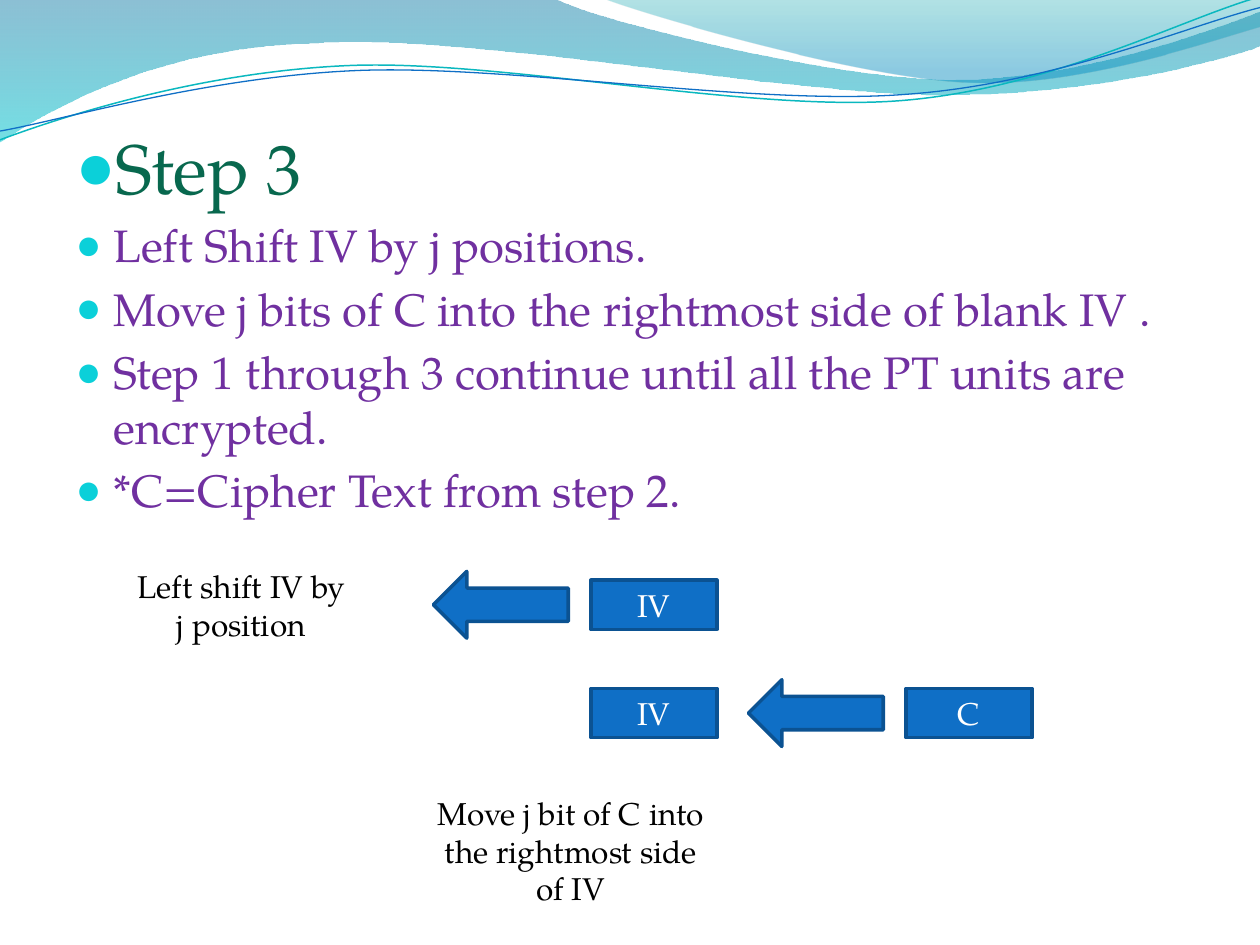
from math import cos, radians, sin

from lxml.etree import SubElement
from pptx import Presentation
from pptx.dml.color import RGBColor
from pptx.enum.shapes import MSO_SHAPE as Shape
from pptx.enum.text import MSO_ANCHOR as Anchor, MSO_AUTO_SIZE as AutoSize, PP_ALIGN as Align
from pptx.oxml.ns import qn
from pptx.util import Inches, Pt

FONT = "TeX Gyre Pagella"
BLUE, BLUE_EDGE, WHITE, BLACK = "0F6FC6", "0B5292", "FFFFFF", "000000"
GREEN, PURPLE, CYAN = "08684E", "7030A0", "0BD0D9"

BULLETS = [
    ("Step 3", 40, GREEN),
    ("Left Shift IV by j positions.", 26, PURPLE),
    ("Move j bits of C into the rightmost side of blank IV .", 26, PURPLE),
    ("Step 1 through 3 continue until all the PT units are encrypted.", 26, PURPLE),
    ("*C=Cipher Text from step 2.", 26, PURPLE),
]

# Diagram grid: lefts of the columns and middles of the rows, in inches
COLUMN_LEFT, COLUMN_STEP = 3.44, 1.25
ROW_MIDDLE, ROW_STEP = 4.8, 0.86
BOX, ARROW = (1, 0.39), (1.07, 0.53)
DIAGRAM = [  # column, row, label (None is an arrow)
    (1, 0, "IV"), (1, 1, "IV"), (2, 1, None), (0, 0, None), (3, 1, "C"),
]
CAPTIONS = [
    ("Left shift IV by j position", (0.94, 4.45, 1.95, 0.71)),
    ("Move j bit of C into the rightmost side of IV", (3.36, 6.25, 2.34, 1.01)),
]

# Waves: a start point, then lines (one point) and Bezier curves (three points)
WAVES = [
    ([[(0, 0)], [(4.4, -0.01)],
      [(4.76, 0.17), (6.64, 0.63), (7.58, 0.63)],
      [(8.53, 0.63), (9.58, 0.26), (10, 0.09)], [(10.01, 0.36)],
      [(9.83, 0.44), (8.7, 0.76), (7.46, 0.75)],
      [(6.22, 0.75), (3.82, 0.28), (2.57, 0.34)],
      [(1.29, 0.36), (0.46, 0.83), (-0.01, 1.13)], [(0, 0)]],
     [(0, "0074A1", 45), (1, "00C6CF", 55)]),
    ([[(4.79, -0.01)],
      [(5.09, 0.11), (6.82, 0.62), (7.69, 0.65)],
      [(8.56, 0.69), (9.61, 0.32), (10, 0.21)], [(10, 0)], [(4.79, -0.01)]],
     [(0, "00A1A9", 30), (0.8, "008BBF", 45)]),
]
STRAND_TILT = -2.7
STRAND_CENTER = (4.99, 0.58)
STRANDS = [
    ([[(0, 1.11)],
      [(0.48, 0.93), (1.58, 0.57), (2.77, 0.52)],
      [(3.95, 0.47), (5.93, 0.89), (7.13, 0.8)],
      [(8.33, 0.71), (9.38, 0.15), (9.98, -0.02)]], "0AB8BF", 0.85),
    ([[(0, 1.04)],
      [(0.47, 0.96), (1.64, 0.61), (2.83, 0.56)],
      [(4.03, 0.51), (5.97, 0.84), (7.17, 0.75)],
      [(8.36, 0.67), (9.41, 0.21), (10, 0.06)]], BLUE, 0.75),
]


def rgb(color):
    return RGBColor.from_string(color)


def style(paragraph, size, color):
    for run in paragraph.runs:
        run.font.name, run.font.size = FONT, Pt(size)
        run.font.color.rgb = rgb(color)


def add_curve(slide, segments, close):
    """Build the outline through all points, then turn each triple into a Bezier curve."""
    start, *rest = [(Inches(x), Inches(y)) for segment in segments for x, y in segment]
    builder = slide.shapes.build_freeform(*start)
    builder.add_line_segments(rest, close=close)
    curve = builder.convert_to_shape()
    curve.shadow.inherit = False
    lines = iter(list(curve._element.iter(qn("a:lnTo"))))
    for segment in segments[1:]:
        first, *others = [next(lines) for _ in segment]
        if others:
            first.tag = qn("a:cubicBezTo")
        for line in others:
            first.append(line[0])
            line.getparent().remove(line)
    return curve


def add_wave(slide, segments, stops):
    wave = add_curve(slide, segments, close=True)
    wave.line.fill.background()
    wave.fill.gradient()
    wave.fill.gradient_angle = 270
    for stop, (position, color, _) in zip(wave.fill.gradient_stops, stops):
        stop.position, stop.color.rgb = position, rgb(color)
    colors = wave._element.spPr.iter(qn("a:srgbClr"))
    for element, (_, _, opacity) in zip(colors, stops):
        SubElement(element, qn("a:alpha"), val=str(opacity * 1000))


def level(point):
    """Undo the strands' tilt for one point."""
    angle = radians(-STRAND_TILT)
    dx, dy = (value - center for value, center in zip(point, STRAND_CENTER))
    return (STRAND_CENTER[0] + dx * cos(angle) - dy * sin(angle),
            STRAND_CENTER[1] + dx * sin(angle) + dy * cos(angle))


def add_strand(slide, segments, color, width):
    leveled = [[level(point) for point in segment] for segment in segments]
    strand = add_curve(slide, leveled, close=False)
    strand.rotation = STRAND_TILT
    strand.fill.background()
    strand.line.color.rgb, strand.line.width = rgb(color), Pt(width)


def add_bullet(paragraph):
    properties = paragraph._p.get_or_add_pPr()
    properties.set("marL", str(Inches(0.3)))
    properties.set("indent", str(-Inches(0.3)))
    SubElement(SubElement(properties, qn("a:buClr")), qn("a:srgbClr"), val=CYAN)
    SubElement(properties, qn("a:buSzPct"), val="95000")
    SubElement(properties, qn("a:buChar"), char="●")


def fill_body(body):
    body.left, body.top, body.width, body.height = map(Inches, (0.5, 0.94, 9.11, 6.01))
    frame = body.text_frame
    frame.text = "\n".join(text for text, _, _ in BULLETS)
    for index, (paragraph, (_, size, color)) in enumerate(zip(frame.paragraphs, BULLETS)):
        add_bullet(paragraph)
        paragraph.space_before = Pt(5 if index else 0)
        style(paragraph, size, color)


def add_diagram_part(slide, column, row, label):
    width, height = BOX if label else ARROW
    left = COLUMN_LEFT + column * COLUMN_STEP
    top = ROW_MIDDLE + row * ROW_STEP - height / 2
    part = slide.shapes.add_shape(Shape.RECTANGLE if label else Shape.LEFT_ARROW,
                                  *map(Inches, (left, top, width, height)))
    part.shadow.inherit = False
    part.fill.solid()
    part.fill.fore_color.rgb = rgb(BLUE)
    part.line.color.rgb, part.line.width = rgb(BLUE_EDGE), Pt(2)
    if label:
        part.text_frame.text = label
        part.text_frame.vertical_anchor = Anchor.MIDDLE
        part.text_frame.paragraphs[0].alignment = Align.CENTER
        style(part.text_frame.paragraphs[0], 18, WHITE)


def add_caption(slide, text, place):
    frame = slide.shapes.add_textbox(*map(Inches, place)).text_frame
    frame.word_wrap = True
    frame.auto_size = AutoSize.SHAPE_TO_FIT_TEXT
    frame.text = text
    frame.paragraphs[0].alignment = Align.CENTER
    style(frame.paragraphs[0], 18, BLACK)


def main():
    deck = Presentation()
    deck.slide_width, deck.slide_height = Inches(10), Inches(7.5)
    slide = deck.slides.add_slide(deck.slide_layouts[1])
    title, body = slide.placeholders
    title._element.getparent().remove(title._element)
    for wave in WAVES:
        add_wave(slide, *wave)
    for strand in STRANDS:
        add_strand(slide, *strand)
    fill_body(body)
    for part in DIAGRAM:
        add_diagram_part(slide, *part)
    for caption in CAPTIONS:
        add_caption(slide, *caption)
    deck.save("out.pptx")


if __name__ == "__main__":
    main()
